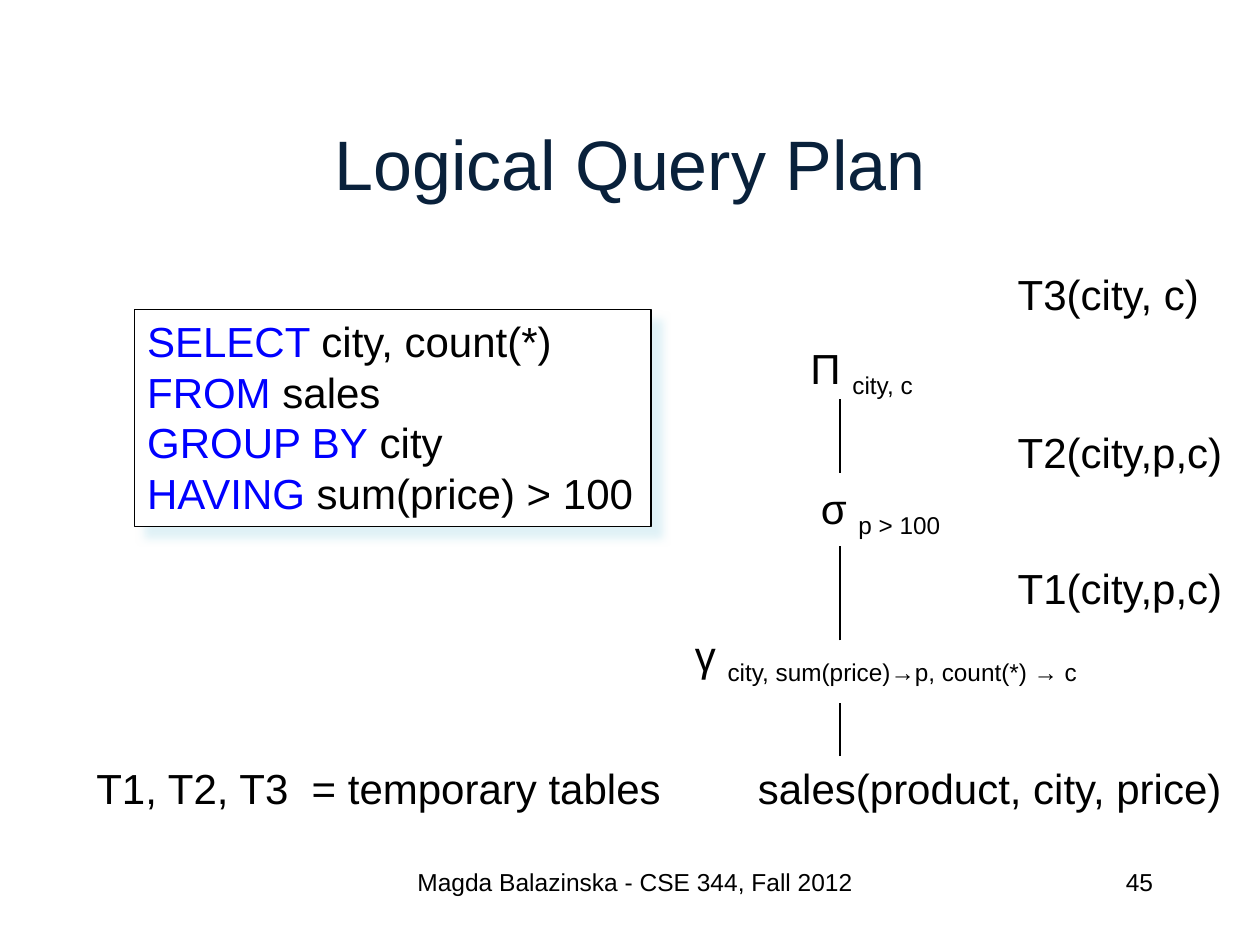
from lxml import etree
from pptx import Presentation
from pptx.dml.color import RGBColor
from pptx.enum.shapes import MSO_CONNECTOR, MSO_SHAPE
from pptx.enum.text import MSO_ANCHOR, PP_ALIGN
from pptx.oxml import parse_xml
from pptx.oxml.ns import qn
from pptx.util import Pt

LEFT, MID, RIGHT = PP_ALIGN.LEFT, PP_ALIGN.CENTER, PP_ALIGN.RIGHT
TOP, CENTER = MSO_ANCHOR.TOP, MSO_ANCHOR.MIDDLE
RECT, LINE = MSO_SHAPE.RECTANGLE, MSO_CONNECTOR.STRAIGHT
BLACK, BLUE, NAVY, WHITE = "000000", "0000FF", "09213B", "FFFFFF"
ROW = 36
STEM = 480
SHADOW = (
    '<a:effectLst xmlns:a="http://schemas.openxmlformats.org/drawingml/2006/main">'
    '<a:outerShdw blurRad="63500" dist="107950" dir="2700000" algn="ctr" rotWithShape="0">'
    '<a:srgbClr val="D5EDF4"><a:alpha val="75000"/></a:srgbClr>'
    '</a:outerShdw></a:effectLst>'
)


def color(code):
    return RGBColor.from_string(code)


def add_run(para, text, size=24, code=BLACK, sub=False):
    run = para.add_run()
    run.text = text
    font = run.font
    font.name, font.size = "Arial", Pt(size)
    font.color.rgb = color(code)
    if sub:
        run._r.get_or_add_rPr().set("baseline", "-25000")


def add_label(slide, box, text, sub="", size=24, code=BLACK,
              align=LEFT, anchor=TOP, wrap=False):
    frame = slide.shapes.add_textbox(*map(Pt, box)).text_frame
    frame.word_wrap = wrap
    frame.vertical_anchor = anchor
    para = frame.paragraphs[0]
    para.alignment = align
    add_run(para, text, size, code)
    if sub:
        add_run(para, sub, size, code, True)


def add_query(slide, box, lines):
    shape = slide.shapes.add_shape(RECT, *map(Pt, box))
    shape.fill.solid()
    shape.fill.fore_color.rgb = color(WHITE)
    shape.line.color.rgb = color(BLACK)
    shape.line.width = Pt(0.75)
    shape._element.spPr.append(parse_xml(SHADOW))
    frame = shape.text_frame
    frame.word_wrap = False
    frame.vertical_anchor = TOP
    for num, (key, rest) in enumerate(lines):
        para = frame.add_paragraph() if num else frame.paragraphs[0]
        para.alignment = LEFT
        add_run(para, key, code=BLUE)
        add_run(para, rest)


def add_link(slide, low, high):
    link = slide.shapes.add_connector(LINE, Pt(STEM), Pt(low), Pt(STEM), Pt(high))
    link.line.color.rgb = color(BLACK)
    link.line.width = Pt(0.75)
    etree.SubElement(link._element.spPr, qn("a:effectLst"))


def main():
    deck = Presentation()
    deck.slide_width, deck.slide_height = Pt(720), Pt(540)
    slide = deck.slides.add_slide(deck.slide_layouts[6])

    add_label(slide, (54, 48, 612, 90), "Logical Query Plan", size=40,
              code=NAVY, align=MID, anchor=CENTER, wrap=True)
    add_query(slide, (77, 177, 295, 124), [
        ("SELECT ", "city, count(*)"),
        ("FROM", " sales"),
        ("GROUP BY", " city"),
        ("HAVING ", "sum(price) > 100"),
    ])

    nodes = [
        (426, 432, 282, "sales(product, city, price)", ""),
        (390, 356, 276, "γ ", "city, sum(price)→p, count(*) → c"),
        (462, 272, 89, "σ ", "p > 100"),
        (456, 192, 79, "Π ", "city, c"),
    ]
    for left, top, width, text, sub in nodes:
        add_label(slide, (left, top, width, ROW), text, sub)
    for low, high in [(432, 402), (366, 312), (270, 228)]:
        add_link(slide, low, high)

    temps = [(318, 132.5, "T1(city,p,c)"), (240, 132.5, "T2(city,p,c)"),
             (150, 119, "T3(city, c)")]
    for top, width, text in temps:
        add_label(slide, (574.5, top, width, ROW), text)
    add_label(slide, (48, 432, 340.5, ROW), "T1, T2, T3  = temporary tables",
              anchor=CENTER)

    add_label(slide, (228, 492, 270, ROW), "Magda Balazinska - CSE 344, Fall 2012",
              size=14, align=MID, wrap=True)
    add_label(slide, (516, 492, 150, ROW), "45", size=14, align=RIGHT, wrap=True)
    deck.save("out.pptx")


if __name__ == "__main__":
    main()
